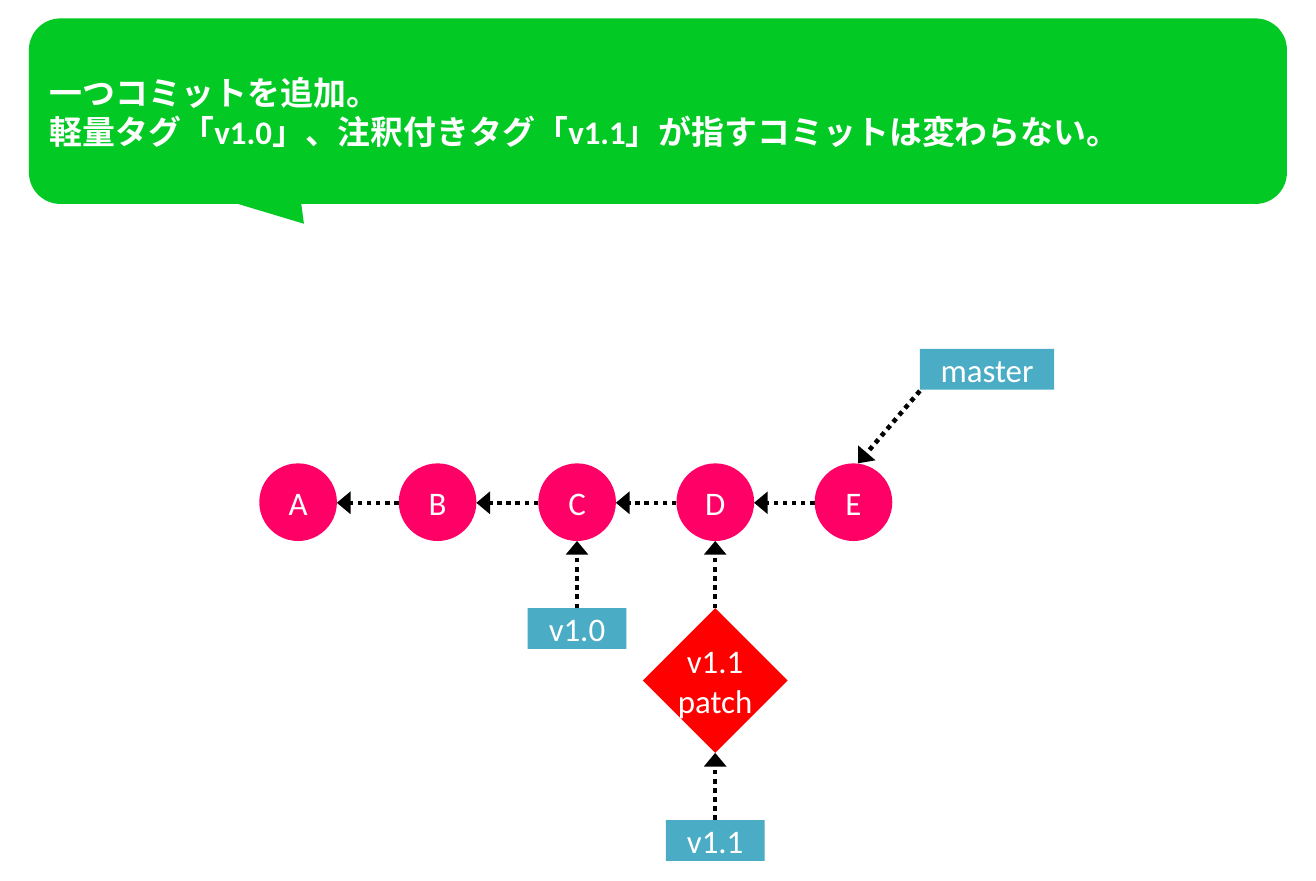
"""Build a slide showing which commits a branch and two kinds of tag point to."""
from math import cos, radians, sin

from pptx import Presentation
from pptx.dml.color import RGBColor
from pptx.enum.dml import MSO_LINE_DASH_STYLE as Dash
from pptx.enum.shapes import MSO_CONNECTOR as Connector, MSO_SHAPE as Shape
from pptx.enum.text import MSO_ANCHOR as Anchor, PP_ALIGN as Align
from pptx.oxml.ns import qn
from pptx.util import Cm, Inches, Pt
from lxml.etree import SubElement

WHITE = RGBColor(0xFF, 0xFF, 0xFF)
BLACK = RGBColor(0, 0, 0)
PINK = RGBColor(0xFF, 0, 0x66)
BLUE = RGBColor(0x4B, 0xAC, 0xC6)
RED = RGBColor(0xFF, 0, 0)
GREEN = RGBColor(0x03, 0xC9, 0x24)

COMMIT_LEFTS = {"A": 1.97, "B": 3.03, "C": 4.09, "D": 5.14, "E": 6.19}
COMMIT_SIZE = 0.59
COMMIT_TOP = 3.52
COMMIT_MIDDLE = 3.82
COMMIT_BOTTOM = COMMIT_TOP + COMMIT_SIZE
LABEL_HEIGHT = 0.31
TAG_WIDTH = 0.75
TAG_TOP = 4.62
ANNOTATION_SIZE = 1.1
ANNOTATED_TAG_TOP = 6.23


def write_text(shape, text, *, bold=False, align=Align.CENTER, wrap=True,
               insets=(0.1, 0.05, 0.1, 0.05)):
    """Write one paragraph per line of text into a shape."""
    frame = shape.text_frame
    frame.word_wrap = wrap
    frame.vertical_anchor = Anchor.MIDDLE
    (frame.margin_left, frame.margin_top,
     frame.margin_right, frame.margin_bottom) = map(Inches, insets)
    frame.text = text
    for paragraph in frame.paragraphs:
        paragraph.alignment = align
        font = paragraph.font
        font.name, font.size, font.bold = "Calibri", Pt(18), bold
        font.color.rgb = WHITE


def paint(shape, color):
    """Give a shape a flat fill without outline or shadow."""
    shape.shadow.inherit = False
    shape.fill.solid()
    shape.fill.fore_color.rgb = color
    shape.line.fill.background()


def add_node(slide, kind, text, box, color, **text_format):
    """Add a filled preset shape with centred text."""
    shape = slide.shapes.add_shape(kind, *map(Inches, box))
    paint(shape, color)
    write_text(shape, text, **text_format)


def add_label(slide, text, center, top, width=TAG_WIDTH):
    """Add a reference label centred on a horizontal position."""
    box = (center - width / 2, top, width, LABEL_HEIGHT)
    add_node(slide, Shape.RECTANGLE, text, box, BLUE)


def add_arrow(slide, start, end):
    """Add a dotted arrow with a wide head between two points."""
    arrow = slide.shapes.add_connector(
        Connector.STRAIGHT, *map(Inches, (*start, *end)))
    arrow.line.color.rgb = BLACK
    arrow.line.width = Pt(2.5)
    arrow.line.dash_style = Dash.ROUND_DOT
    properties = arrow.element.spPr
    SubElement(properties.find(qn("a:ln")), qn("a:tailEnd"),
               type="triangle", w="lg", len="med")
    SubElement(properties, qn("a:effectLst"))


def add_callout(slide, text):
    """Add a rounded speech bubble with a small tail at its lower left."""
    left, top, right, bottom, radius = 0.22, 0.14, 9.78, 1.55, 0.24
    corners = ((left, top, 1, 1, 180), (right, top, -1, 1, 270),
               (right, bottom, -1, -1, 0), (left, bottom, 1, -1, 90))
    points = []
    for x, y, x_sign, y_sign, first_angle in corners:
        if first_angle == 90:
            points += [(2.29, bottom), (2.31, 1.7), (1.81, bottom)]
        for angle in range(first_angle, first_angle + 91, 6):
            points.append((x + radius * (x_sign + cos(radians(angle))),
                           y + radius * (y_sign + sin(radians(angle)))))
    vertices = [(Inches(x), Inches(y)) for x, y in points]
    builder = slide.shapes.build_freeform(*vertices[0])
    builder.add_line_segments(vertices[1:], close=True)
    callout = builder.convert_to_shape()
    paint(callout, GREEN)
    write_text(callout, text, bold=True, align=Align.LEFT,
               insets=(0.16, 0.16, 0.16, 0.3))


def add_commits(slide):
    """Add the commits, each with an arrow to its parent."""
    parent_right = None
    for name, left in COMMIT_LEFTS.items():
        box = (left, COMMIT_TOP, COMMIT_SIZE, COMMIT_SIZE)
        add_node(slide, Shape.OVAL, name, box, PINK)
        if parent_right:
            add_arrow(slide, (left, COMMIT_MIDDLE), (parent_right, COMMIT_MIDDLE))
        parent_right = left + COMMIT_SIZE


def add_references(slide):
    """Add the branch and the tags that point to the commits."""
    add_label(slide, "master", 7.5, 2.65, width=1.02)
    add_arrow(slide, (6.99, 2.97), (6.52, COMMIT_TOP))

    light_center, annotated_center = (
        COMMIT_LEFTS[name] + COMMIT_SIZE / 2 for name in "CD")
    for center in (light_center, annotated_center):
        add_arrow(slide, (center, TAG_TOP), (center, COMMIT_BOTTOM))
    add_label(slide, "v1.0", light_center, TAG_TOP)

    box = (annotated_center - ANNOTATION_SIZE / 2, TAG_TOP,
           ANNOTATION_SIZE, ANNOTATION_SIZE)
    add_node(slide, Shape.DIAMOND, "v1.1\npatch", box, RED,
             wrap=False, insets=(0, 0, 0, 0))
    add_arrow(slide, (annotated_center, ANNOTATED_TAG_TOP),
              (annotated_center, TAG_TOP + ANNOTATION_SIZE))
    add_label(slide, "v1.1", annotated_center, ANNOTATED_TAG_TOP)


def main():
    """Build and save the presentation."""
    presentation = Presentation()
    presentation.slide_width = Inches(10)
    presentation.slide_height = Cm(17)
    slide = presentation.slides.add_slide(presentation.slide_layouts[6])
    add_commits(slide)
    add_references(slide)
    add_callout(slide, "一つコミットを追加。\n"
                "軽量タグ「v1.0」、注釈付きタグ「v1.1」が指すコミットは変わらない。")
    presentation.save("out.pptx")


if __name__ == "__main__":
    main()
